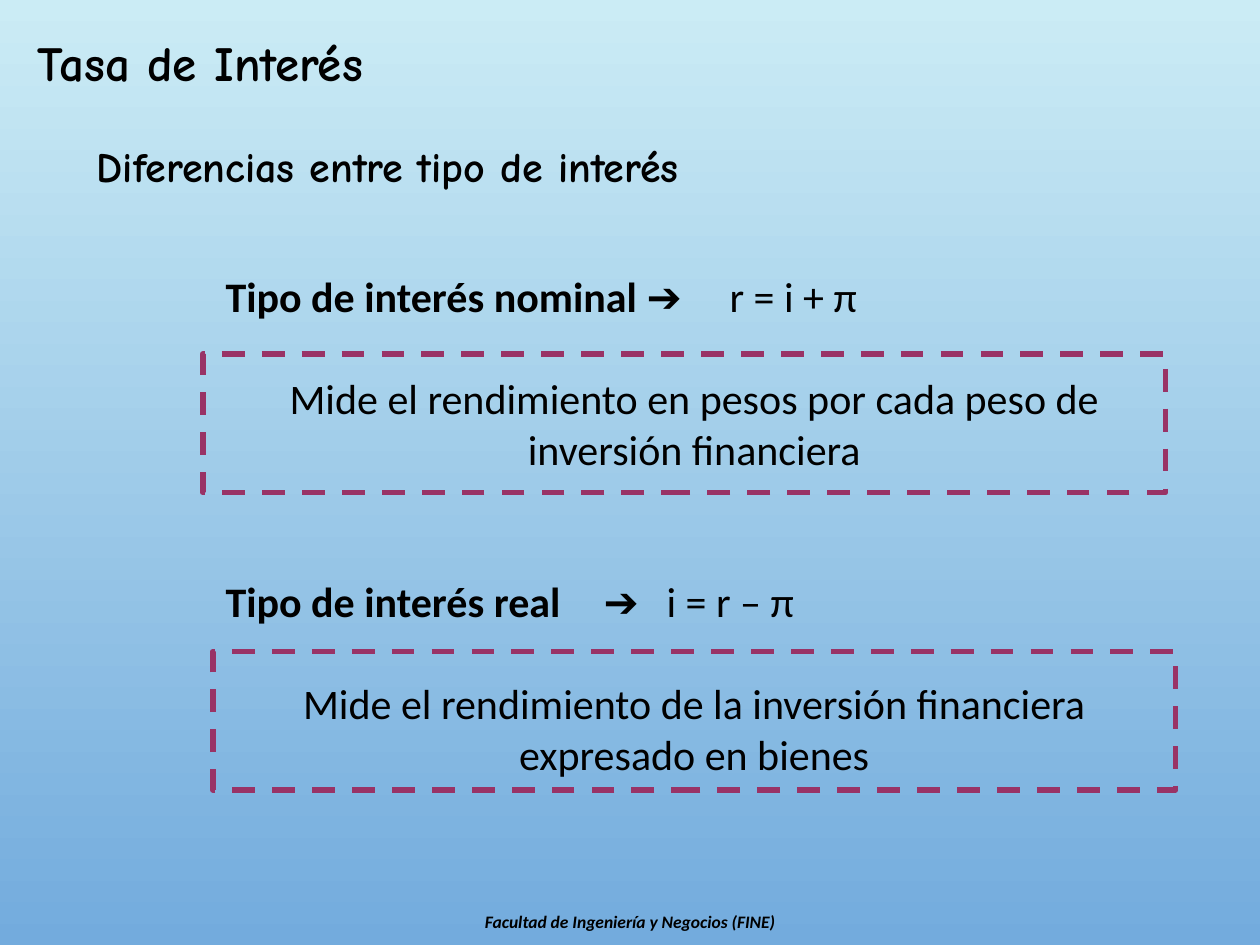
from dataclasses import dataclass

from lxml import etree
from pptx import Presentation
from pptx.dml.color import RGBColor
from pptx.enum import dml, shapes, text
from pptx.oxml.ns import qn
from pptx.util import Inches, Pt


@dataclass(frozen=True)
class Theme:
    ink: str = "000000"
    frame: str = "993366"
    sky: tuple = ("CBECF5", "73ABDD")
    display: str = "Comic Neue"
    plain: str = "Calibri"
    title: int = 28
    body: int = 24
    footer: int = 10
    frame_width: float = 3.25
    line: float = 29.3  # height of one body line, in points


THEME = Theme()

HEADING = ("Tasa de Interés", (0.2, 0.21, 6.83, 0.57))
SUBHEADING = ("Diferencias entre tipo de interés", (0.67, 1.07, 5.62, 0.5))
FOOTER = ("Facultad de Ingeniería y Negocios (FINE)", (2.56, 7.18, 4.88, 0.27))
BODY_BOX = (1.69, 2.1, 7.64, 4.14)
FRAME_SIZE = (7.64, 1.1)

# bold part, regular part, tab stops, definition, corner of the dashed frame
RATES = [
    ("Tipo de interés nominal ", "➔\tr = i + π", [3.84],
     "Mide el rendimiento en pesos por cada peso de inversión financiera",
     (1.61, 2.81)),
    ("Tipo de interés real\t➔\t", "i = r – π", [2.83, 3.31],
     "Mide el rendimiento de la inversión financiera expresado en bienes",
     (1.69, 5.17)),
]


def place(shape, box):
    shape.left, shape.top, shape.width, shape.height = map(Inches, box)


def add_run(paragraph, wording, font, size, **style):
    run = paragraph.add_run()
    run.text = wording
    values = {"name": font, "size": Pt(size), "bold": False, **style}
    for attribute, value in values.items():
        setattr(run.font, attribute, value)
    run.font.color.rgb = RGBColor.from_string(THEME.ink)


def set_frame(shape, **values):
    frame = shape.text_frame
    defaults = {"word_wrap": True, "auto_size": text.MSO_AUTO_SIZE.NONE,
                "vertical_anchor": text.MSO_ANCHOR.TOP}
    for attribute, value in {**defaults, **values}.items():
        setattr(frame, attribute, value)
    return frame


def format_body(paragraph, blank_lines, tabs=()):
    """Remove the bullet, add tab stops and leave blank_lines above."""
    properties = paragraph._p.get_or_add_pPr()
    properties.set("marL", "0")
    properties.set("indent", "0")
    etree.SubElement(properties, qn("a:buNone"))
    if tabs:
        stops = etree.SubElement(properties, qn("a:tabLst"))
        for stop in tabs:
            etree.SubElement(stops, qn("a:tab"), pos=str(Inches(stop)), algn="l")
    paragraph.space_before = Pt(blank_lines * THEME.line)


def fill_body(body):
    frame = set_frame(body)
    for index, (name, formula, tabs, definition, _) in enumerate(RATES):
        term = frame.add_paragraph() if index else frame.paragraphs[0]
        format_body(term, 2 if index else 0, tabs)
        add_run(term, name, THEME.plain, THEME.body, bold=True)
        add_run(term, formula, THEME.plain, THEME.body)

        meaning = frame.add_paragraph()
        format_body(meaning, 1)
        meaning.alignment = text.PP_ALIGN.CENTER
        add_run(meaning, definition, THEME.plain, THEME.body)


def add_dashed_frame(slide, corner):
    frame = slide.shapes.add_shape(
        shapes.MSO_SHAPE.RECTANGLE, *map(Inches, corner + FRAME_SIZE))
    frame.shadow.inherit = False
    frame.fill.background()
    frame.line.color.rgb = RGBColor.from_string(THEME.frame)
    frame.line.width = Pt(THEME.frame_width)
    frame.line.dash_style = dml.MSO_LINE.DASH


def paint_background(slide):
    fill = slide.background.fill
    fill.gradient()
    fill.gradient_angle = 270
    for stop, color in zip(fill.gradient_stops, THEME.sky):
        stop.color.rgb = RGBColor.from_string(color)


def main():
    deck = Presentation()
    deck.slide_width, deck.slide_height = Inches(10), Inches(7.5)
    slide = deck.slides.add_slide(deck.slide_layouts[1])
    paint_background(slide)

    title, body = slide.placeholders
    wording, box = HEADING
    place(title, box)
    heading = set_frame(title, vertical_anchor=text.MSO_ANCHOR.MIDDLE).paragraphs[0]
    heading.alignment = text.PP_ALIGN.LEFT
    add_run(heading, wording, THEME.display, THEME.title, bold=True)

    place(body, BODY_BOX)
    fill_body(body)
    for *_, corner in RATES:
        add_dashed_frame(slide, corner)

    wording, box = SUBHEADING
    subheading = slide.shapes.add_textbox(*map(Inches, box))
    add_run(set_frame(subheading, word_wrap=False).paragraphs[0],
            wording, THEME.display, THEME.body, bold=True)

    wording, box = FOOTER
    footer = slide.shapes.add_textbox(*map(Inches, box))
    faculty = set_frame(footer).paragraphs[0]
    faculty.alignment = text.PP_ALIGN.CENTER
    add_run(faculty, wording, THEME.plain, THEME.footer, bold=True, italic=True)

    deck.save("out.pptx")


if __name__ == "__main__":
    main()
